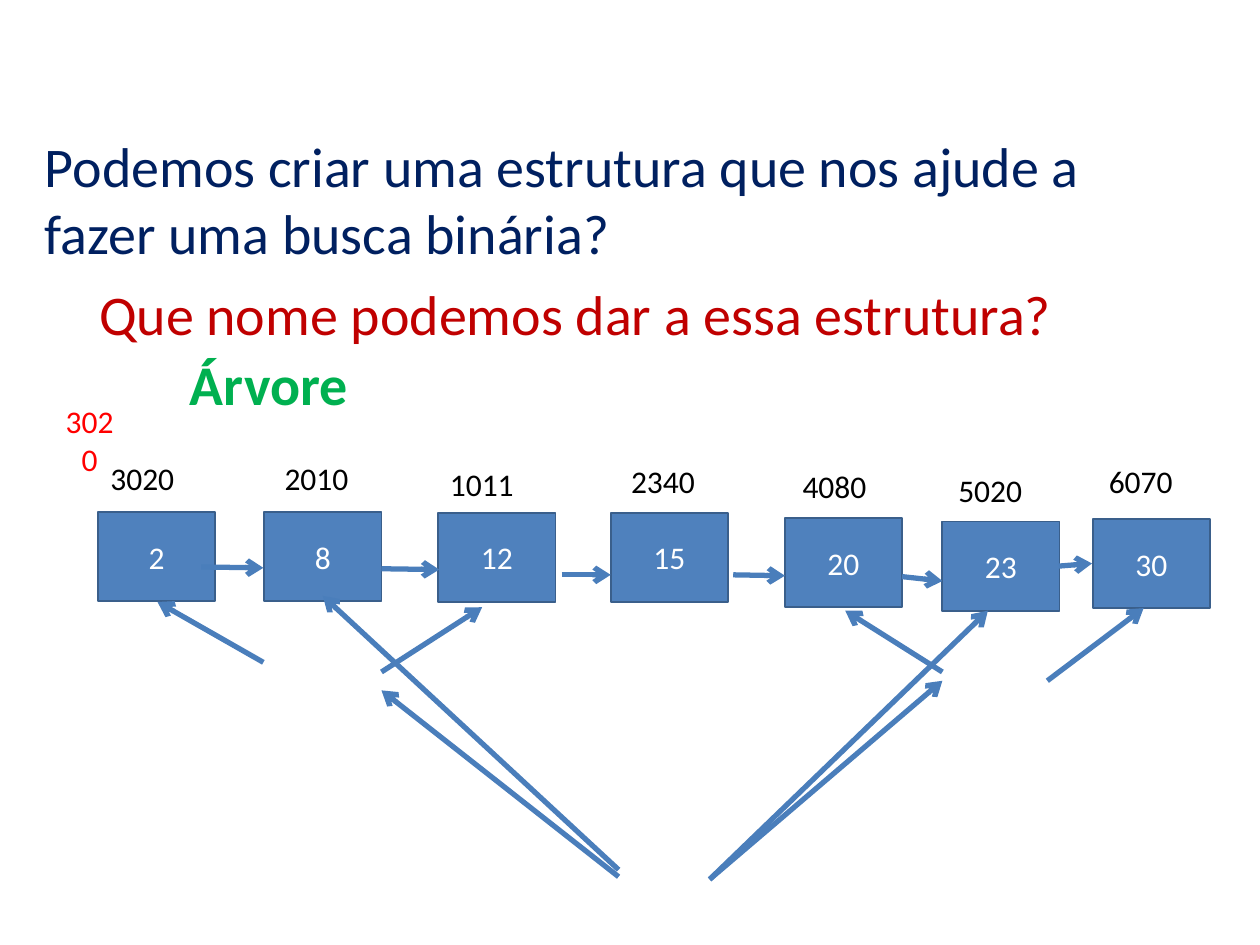
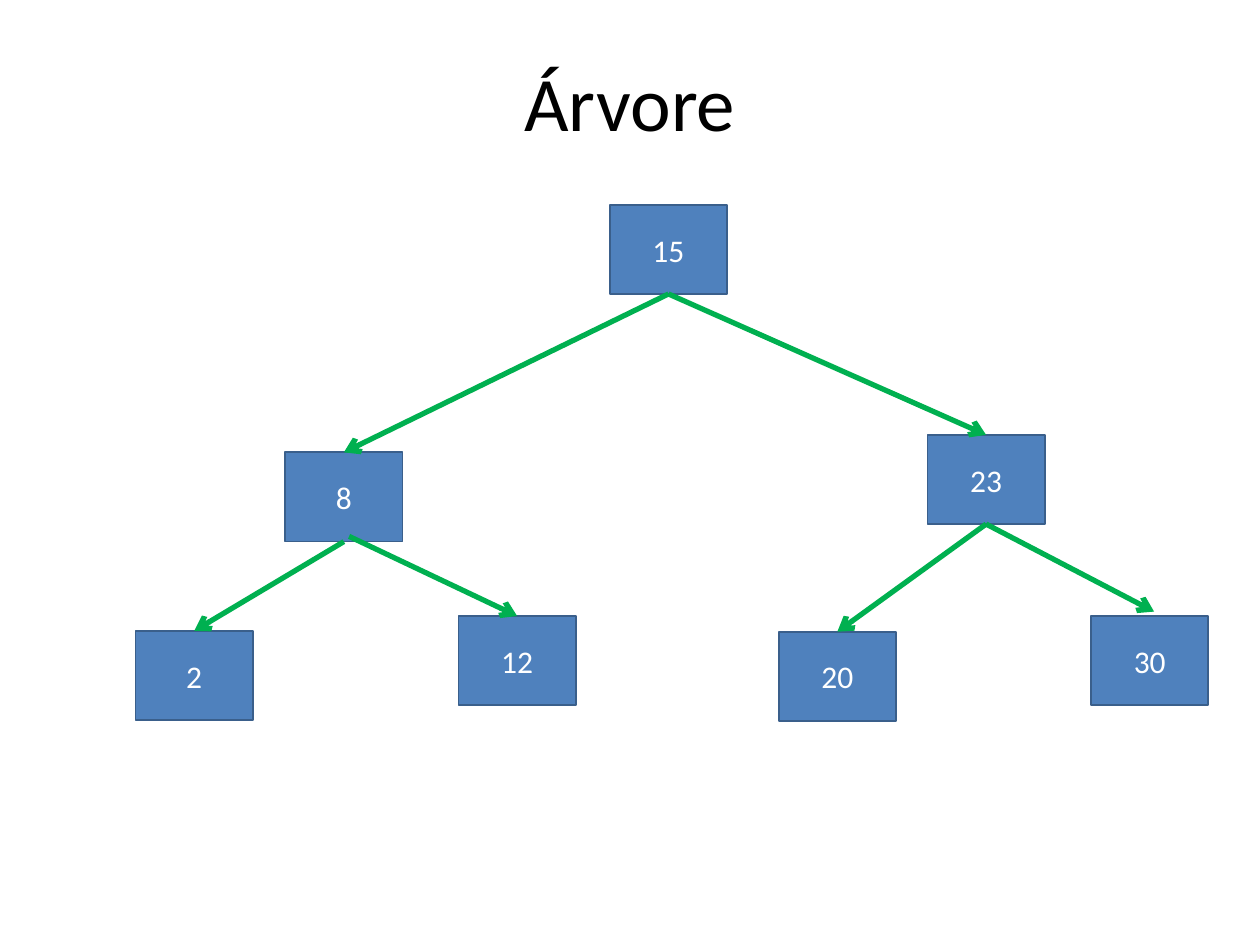
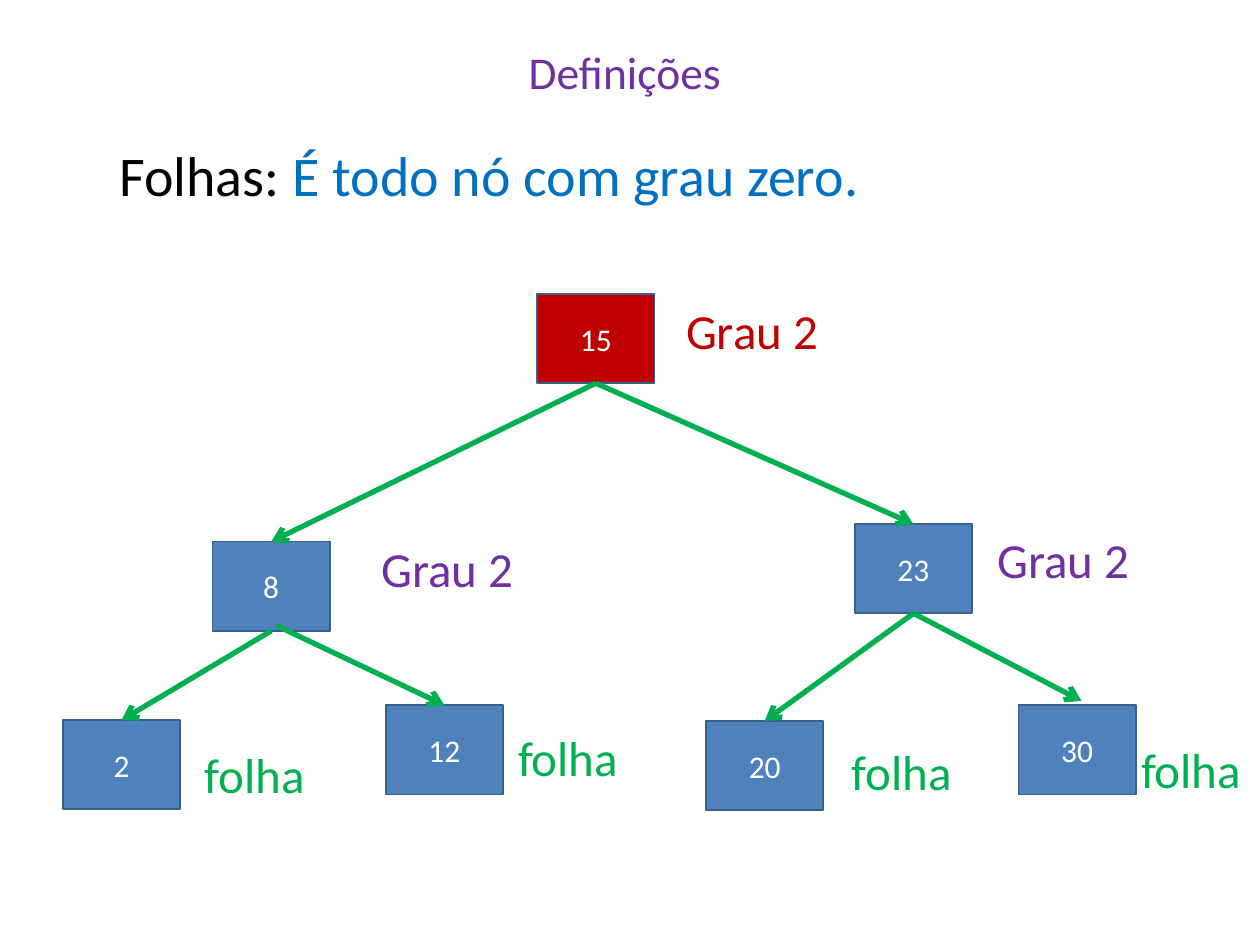
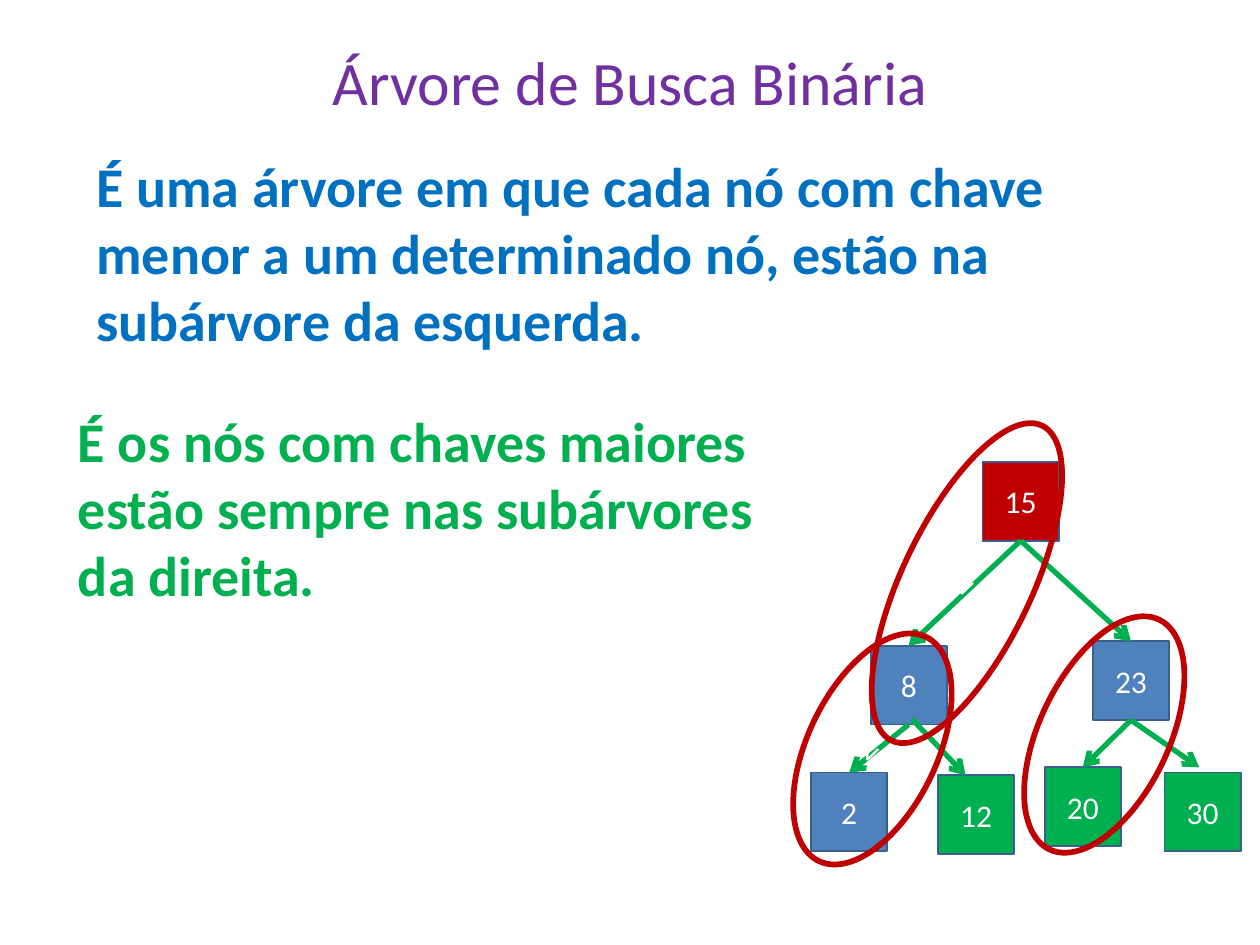
from lxml import etree
from pptx import Presentation
from pptx.dml.color import RGBColor
from pptx.enum.shapes import MSO_CONNECTOR, MSO_SHAPE
from pptx.enum.text import MSO_ANCHOR as Anchor, PP_ALIGN as Align
from pptx.oxml.ns import qn
from pptx.util import Pt

COLORS = {
    "white": "FFFFFF", "black": "000000", "navy": "002060", "red": "FF0000",
    "dark red": "C00000", "green": "00B050", "purple": "7030A0",
    "blue": "0070C0", "node": "4F81BD", "border": "3A5F8B", "link": "4A7EBB",
}

LIST_NODE = (67, 51)
LIST_ITEMS = [
    ("2", (56, 292.5), "3020", (56, 259)),
    ("8", (151, 292.5), "2010", (155.5, 259)),
    ("12", (250.5, 293), "1011", (250, 262)),
    ("15", (349, 293), "2340", (353.5, 260.5)),
    ("20", (448.5, 296), "4080", (451.5, 263.5)),
    ("23", (538.5, 298), "5020", (540.5, 265.5)),
    ("30", (624.5, 296.5), "6070", (626.5, 260.5)),
]
LIST_LINKS = [
    (115, 324, 150.5, 324.5), (218, 325, 251, 325.5), (321, 328.5, 349, 328.5),
    (419, 328.5, 448.5, 329), (515.5, 329.5, 538.5, 332), (605, 323.5, 624, 322),
]
SEARCH_LINKS = [
    (405.5, 502.5, 564.5, 349), (353.5, 497, 184.5, 340.5),
    (405.5, 502.5, 538.5, 389), (353.5, 501, 218, 394.5),
    (150.5, 378.5, 90, 344), (598.5, 389, 653.5, 347.5),
    (218, 384, 275.5, 347), (538.5, 384, 483, 349),
]
QUESTIONS = [
    ("Podemos criar uma estrutura que nos ajude a fazer uma busca binária?",
     (18.5, 71.5, 675, 83.5), "navy", False),
    ("Que nome podemos dar a essa estrutura?", (49.5, 156, 616, 45.5), "dark red", False),
    ("Árvore", (101.5, 196, 150, 45.5), "green", True),
]

EDGES = [("15", "8"), ("15", "23"), ("23", "30"), ("23", "20"), ("8", "12"), ("8", "2")]
TREE = {
    "size": (67, 51),
    "nodes": {"8": (163, 258.5), "12": (262, 352), "15": (348.5, 117), "2": (77.5, 360.5),
              "20": (445, 361), "23": (530, 248.5), "30": (623.5, 352)},
    "nudges": {("23", "30"): (0, 0, 2.5, -2.5), ("8", "12"): (3, -3, 0, 0)},
}
SMALL_TREE = {
    "size": (43.5, 45),
    "nodes": {"8": (497.5, 369), "12": (536, 443), "15": (561.5, 264), "20": (597, 438.5),
              "23": (624.5, 366.5), "30": (665.5, 441.5), "2": (463.5, 441.5)},
    "nudges": {("23", "30"): (0, 0, -2, -3), ("8", "12"): (2, -3, -6, 0)},
}
LEAF_SHIFT = (-41.5, 51)
DEGREE_LABELS = [
    ("Grau 2", (385, 168, 105, 40), "dark red"),
    ("Grau 2", (563, 299, 96.5, 40), "purple"),
    ("Grau 2", (211, 304, 96.5, 40), "purple"),
    ("folha", (110, 422, 78, 40), "green"),
    ("folha", (289, 412, 96.5, 40), "green"),
    ("folha", (479.5, 420, 96.5, 40), "green"),
    ("folha", (645, 419, 72, 40), "green"),
]
RULES = [
    ("É uma árvore em que cada nó com chave menor a um determinado nó, estão na subárvore da esquerda.",
     (48, 83, 608.5, 124.5), "blue"),
    ("É os nós com chaves maiores estão sempre nas subárvores da direita.",
     (37.5, 228.5, 426, 124.5), "green"),
]
OVALS = [((515.5, 233.5, 74, 199.5), "v"), ((461.5, 357, 74, 142), "v"),
         ((594, 347, 74, 145.5), "")]
OVAL_ANGLE = 25.5


def color(name):
    return RGBColor.from_string(COLORS[name])


def write(shape, runs, size=18, bold=False, align=Align.LEFT, anchor=Anchor.TOP, wrap=True):
    frame = shape.text_frame
    for name, value in {"word_wrap": wrap, "vertical_anchor": anchor}.items():
        setattr(frame, name, value)
    paragraph = frame.paragraphs[0]
    paragraph.alignment = align
    for text, run_color in runs:
        run = paragraph.add_run()
        run.text = text
        for name, value in {"name": "Calibri", "size": Pt(size), "bold": bold}.items():
            setattr(run.font, name, value)
        run.font.color.rgb = color(run_color)


def add_text(slide, box, runs, **style):
    write(slide.shapes.add_textbox(*map(Pt, box)), runs, **style)


def add_title(slide, text, height, size, title_color):
    add_text(slide, (36, 21.5, 648, height), [(text, title_color)],
             size=size, align=Align.CENTER, anchor=Anchor.MIDDLE)


def add_figure(slide, kind, box, text, fill, line, width):
    shape = slide.shapes.add_shape(kind, *map(Pt, box))
    shape.shadow.inherit = False
    if fill:
        shape.fill.solid()
        shape.fill.fore_color.rgb = color(fill)
    else:
        shape.fill.background()
    shape.line.color.rgb = color(line)
    shape.line.width = Pt(width)
    if text:
        write(shape, [(text, "white")], align=Align.CENTER, anchor=Anchor.MIDDLE)
    return shape


def add_node(slide, text, place, size, fill="node"):
    add_figure(slide, MSO_SHAPE.RECTANGLE, (*place, *size), text, fill, "border", 1)


def add_arrow(slide, ends, line):
    connector = slide.shapes.add_connector(MSO_CONNECTOR.STRAIGHT, *map(Pt, ends))
    connector.line.color.rgb = color(line)
    connector.line.width = Pt(3)
    etree.SubElement(connector.line._get_or_add_ln(), qn("a:tailEnd"), type="arrow")
    etree.SubElement(connector._element.spPr, qn("a:effectLst"))


def add_tree(slide, tree, shift=(0, 0), fills={}):
    width, height = tree["size"]
    places = {key: (left + shift[0], top + shift[1])
              for key, (left, top) in tree["nodes"].items()}
    for key, place in places.items():
        add_node(slide, key, place, tree["size"], fills.get(key, "node"))
    for edge in EDGES:
        (left, top), (child_left, child_top) = (places[key] for key in edge)
        ends = (left + width / 2, top + height, child_left + width / 2, child_top)
        nudge = tree["nudges"].get(edge, (0, 0, 0, 0))
        add_arrow(slide, [end + step for end, step in zip(ends, nudge)], "green")


def build_list(slide):
    for value, place, address, label_place in LIST_ITEMS:
        add_node(slide, value, place, LIST_NODE)
        add_text(slide, (*label_place, 67.5, 29), [(address, "black")])
    add_text(slide, (26, 226, 50.5, 29), [("3020", "red")], align=Align.CENTER, wrap=False)
    for ends in LIST_LINKS + SEARCH_LINKS:
        add_arrow(slide, ends, "link")
    for text, box, text_color, bold in QUESTIONS:
        add_text(slide, box, [(text, text_color)], size=32, bold=bold)


def build_tree(slide):
    add_title(slide, "Árvore", 72.5, 44, "black")
    add_tree(slide, TREE)


def build_leaves(slide):
    add_title(slide, "Definições ", 39, 26, "purple")
    add_text(slide, (61, 77, 648, 57),
             [("Folhas: ", "black"), ("É todo nó com grau zero.", "blue")], size=32)
    add_tree(slide, TREE, LEAF_SHIFT, {"15": "dark red"})
    for text, box, text_color in DEGREE_LABELS:
        add_text(slide, box, [(text, text_color)], size=28)


def build_search_tree(slide):
    add_title(slide, "Árvore de Busca Binária", 49.5, 35.3, "purple")
    add_tree(slide, SMALL_TREE,
             fills={"15": "dark red", "12": "green", "20": "green", "30": "green"})
    for box, text in OVALS:
        oval = add_figure(slide, MSO_SHAPE.OVAL, box, text, None, "dark red", 3.25)
        oval.rotation = OVAL_ANGLE
    for text, box, text_color in RULES:
        add_text(slide, box, [(text, text_color)], size=32, bold=True)


def main():
    presentation = Presentation()
    presentation.slide_width, presentation.slide_height = Pt(720), Pt(540)
    for build in (build_list, build_tree, build_leaves, build_search_tree):
        build(presentation.slides.add_slide(presentation.slide_layouts[6]))
    presentation.save("out.pptx")


if __name__ == "__main__":
    main()
